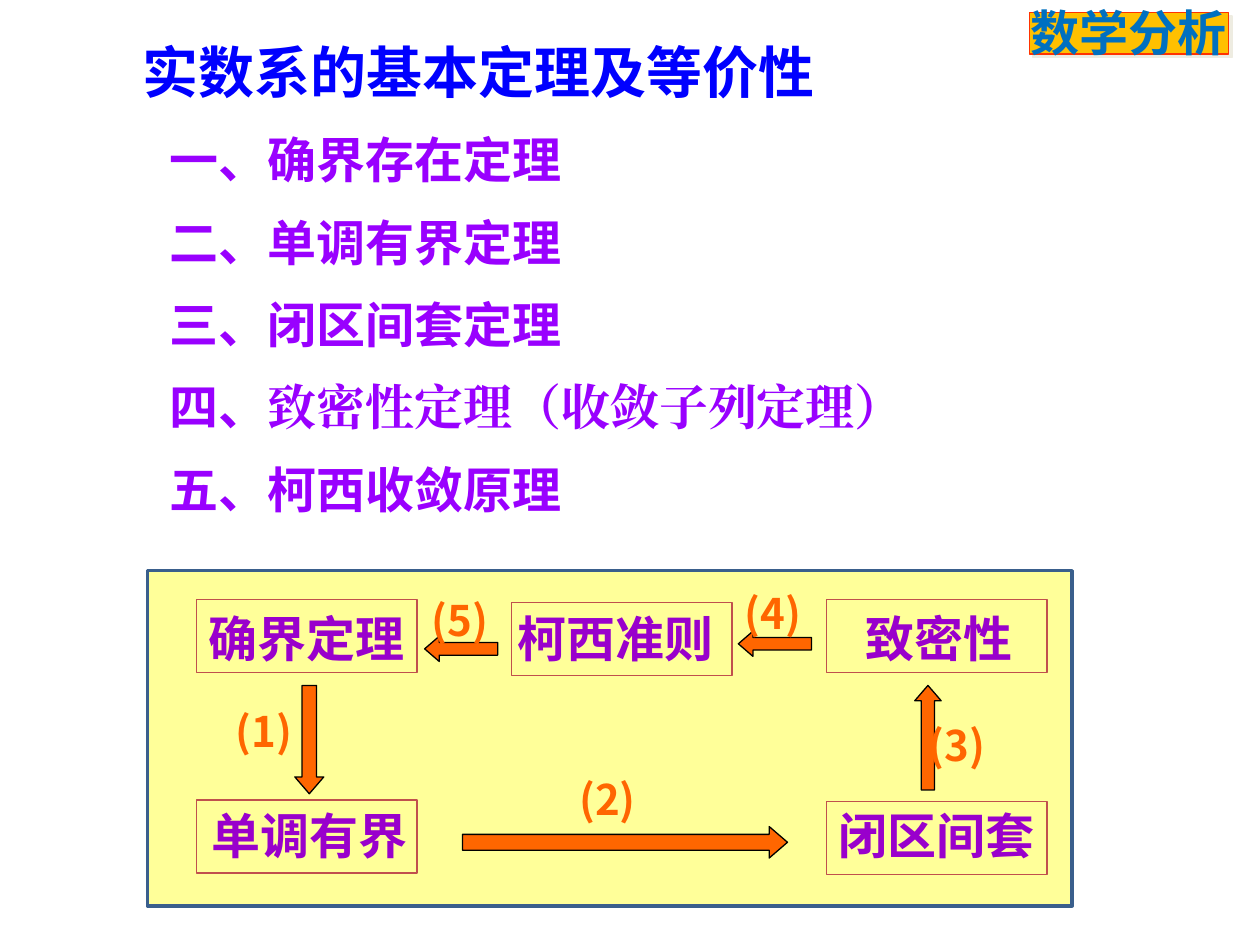
from lxml.etree import SubElement
from pptx import Presentation
from pptx.dml.color import RGBColor
from pptx.enum.shapes import MSO_SHAPE as Shape
from pptx.enum.text import MSO_ANCHOR as Anchor
from pptx.oxml.ns import qn
from pptx.util import Inches, Pt

WHITE = RGBColor(0xFF, 0xFF, 0xFF)
BLACK = RGBColor(0x00, 0x00, 0x00)
GOLD = RGBColor(0xFF, 0xC0, 0x00)
RED = RGBColor(0xFF, 0x33, 0x00)
SKY = RGBColor(0x00, 0x70, 0xC0)
BLUE = RGBColor(0x00, 0x00, 0xFF)
VIOLET = RGBColor(0x99, 0x00, 0xFF)
PURPLE = RGBColor(0x99, 0x00, 0xCC)
ORANGE = RGBColor(0xFF, 0x66, 0x00)
YELLOW = RGBColor(0xFF, 0xFF, 0x99)
NAVY = RGBColor(0x3A, 0x5F, 0x8C)
BRICK = RGBColor(0xC0, 0x50, 0x4D)

SANS, LATIN, SERIF = "Noto Sans CJK SC", "Calibri", "Times New Roman"


def add_shape(slide, kind, box, fill, line, width=0.75):
    sp = slide.shapes.add_shape(kind, *map(Inches, box))
    sp.shadow.inherit = False
    if fill is None:
        sp.fill.background()
    else:
        sp.fill.solid()
        sp.fill.fore_color.rgb = fill
    sp.line.color.rgb = line
    sp.line.width = Pt(width)
    return sp


def add_text(slide, box, paragraphs, size, color, gap=0, wrap=True):
    """Each paragraph is a list of (text, font) runs; gap is the space between."""
    tf = slide.shapes.add_textbox(*map(Inches, box)).text_frame
    tf.word_wrap = wrap
    tf.vertical_anchor = Anchor.TOP
    for i, runs in enumerate(paragraphs):
        p = tf.paragraphs[0] if i == 0 else tf.add_paragraph()
        p.space_before = Pt(gap if i else 0)
        for text, font in runs:
            r = p.add_run()
            r.text = text
            r.font.name = font
            r.font.size = Pt(size)
            r.font.bold = True
            r.font.color.rgb = color
            SubElement(r.font._element, qn("a:ea"), typeface=font)


def add_course_tag(slide, x, y):
    tag = add_shape(slide, Shape.RECTANGLE, (x, y, 1.58, 0.33), GOLD, RED)
    effects = tag._element.spPr.find(qn("a:effectLst"))
    shadow = SubElement(effects, qn("a:outerShdw"), dist=str(Pt(2.8)),
                        dir="2700000", algn="ctr", rotWithShape="0")
    SubElement(shadow, qn("a:srgbClr"), val="EEECE1")
    add_text(slide, (x - 0.09, y - 0.13, 2, 0.57), [[("数学分析", LATIN)]], 28, SKY)


def add_theorem_list(slide, box):
    theorems = [
        [("一、确界存在定理", LATIN)],
        [("二、单调有界定理", LATIN)],
        [("三、闭区间套定理", LATIN)],
        [("四、", LATIN), ("致密性定理（收敛子列定理）", SERIF)],
        [("五、柯西收敛原理", LATIN)],
    ]
    add_text(slide, box, theorems, 28, VIOLET, gap=13.5)


def add_proof_cycle(slide, x, y, w, h):
    add_shape(slide, Shape.RECTANGLE, (x, y, w, h), YELLOW, NAVY, 2)

    # label, label left, label top, frame left, frame top
    nodes = [
        ("确界定理", 0.39, 0.25, 0.39, 0.23),
        ("单调有界", 0.41, 1.81, 0.39, 1.82),
        ("闭区间套", 5.39, 1.81, 5.39, 1.83),
        ("柯西准则", 2.84, 0.25, 2.89, 0.25),
        ("致密性", 5.6, 0.25, 5.39, 0.23),
    ]
    for label, left, top, frame_left, frame_top in nodes:
        add_text(slide, (x + left, y + top, 0.2 + 0.39 * len(label), 0.57),
                 [[(label, SANS)]], 28, PURPLE, wrap=False)
        add_shape(slide, Shape.RECTANGLE,
                  (x + frame_left, y + frame_top, 1.75, 0.58), None, BRICK)

    # arrow kind, arrow box, step label left and top
    steps = [
        (Shape.DOWN_ARROW, (1.17, 0.91, 0.23, 0.86), 0.6, 1.02),
        (Shape.RIGHT_ARROW, (2.5, 2.03, 2.58, 0.25), 3.33, 1.56),
        (Shape.UP_ARROW, (6.09, 0.91, 0.21, 0.83), 6.1, 1.13),
        (Shape.LEFT_ARROW, (4.69, 0.48, 0.58, 0.2), 4.64, 0.08),
        (Shape.LEFT_ARROW, (2.2, 0.52, 0.58, 0.2), 2.16, 0.14),
    ]
    for number, (kind, (left, top, aw, ah), label_left, label_top) in enumerate(steps, 1):
        arrow = add_shape(slide, kind, (x + left, y + top, aw, ah), ORANGE, BLACK)
        arrow.adjustments[0] = 0.5
        arrow.adjustments[1] = 0.58
        add_text(slide, (x + label_left, y + label_top, 0.73, 0.5),
                 [[(f"({number})", SANS)]], 24, ORANGE)


def main():
    prs = Presentation()
    prs.slide_width, prs.slide_height = Inches(10), Inches(7.5)
    slide = prs.slides.add_slide(prs.slide_layouts[6])
    slide.background.fill.solid()
    slide.background.fill.fore_color.rgb = WHITE
    add_course_tag(slide, 8.17, 0.1)
    add_text(slide, (1.03, 0.25, 6.08, 0.83),
             [[("实数系的基本定理及等价性", SANS)]], 32, BLUE)
    add_theorem_list(slide, (1.25, 0.98, 6.17, 3.4))
    add_proof_cycle(slide, 1.17, 4.53, 7.34, 2.66)
    prs.save("out.pptx")


if __name__ == "__main__":
    main()
